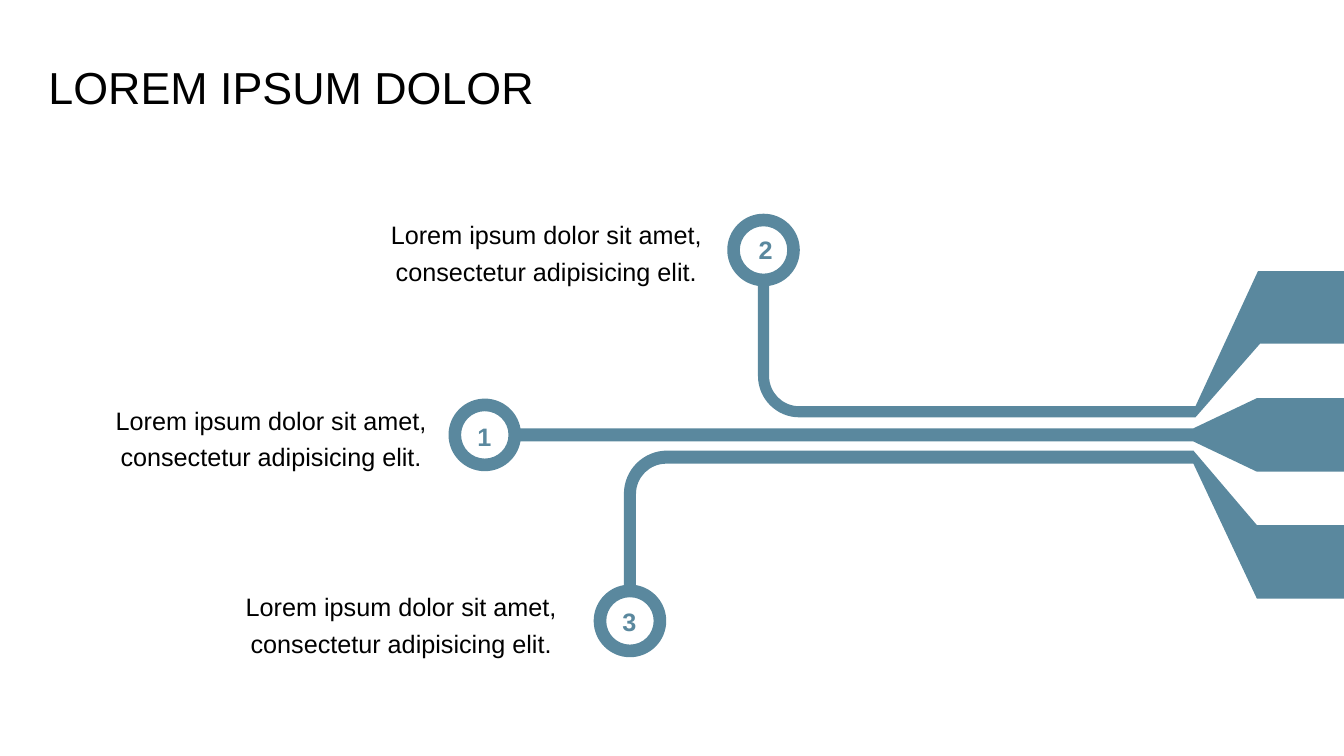
from dataclasses import dataclass
from math import asin, cos, degrees, radians, sin, tan

from lxml import etree
from pptx import Presentation
from pptx import util as u
from pptx.dml.color import RGBColor
from pptx.enum import text
from pptx.oxml.ns import qn

COLOURS = {"branch": "5A889E", "ink": "000000"}
FONT = "Arial"
EDGE = 40 / 3
RING_RADIUS, HOLE_RADIUS = 0.36, 0.47 / 2
BADGE_SIZE = (0.71, 0.71)
CAPTION_SIZE = (3.36, 1.42)
CAPTION = "Lorem ipsum dolor sit amet, consectetur adipisicing elit."

Point = tuple[float, float]
Segment = list[Point]  # one point for a line, three for a curve


@dataclass
class Arc:
    centre: Point
    radius: float
    start: float  # degrees clockwise from east
    end: float


@dataclass
class Branch:
    number: str
    centre: Point
    heading: float  # where the pipe leaves the ring
    pipe: float
    flare: list[Point]
    badge: Point
    caption: Point
    bend_out: Arc | None = None
    bend_back: Arc | None = None


BRANCHES = [
    Branch("1", (4.81, (4.25 + 4.38) / 2), 0, 0.13,
           [(11.84, 4.25), (12.47, 3.95), (EDGE, 3.95),
            (EDGE, 4.68), (12.47, 4.68), (11.84, 4.38)],
           badge=(4.45, 3.97), caption=(1.01, 3.61)),
    Branch("3", (6.25, 6.16), 270, 0.12,
           [(11.84, 4.47), (12.47, 5.21), (EDGE, 5.21),
            (EDGE, 5.94), (12.47, 5.94), (11.84, 4.6)],
           badge=(5.89, 5.81), caption=(2.3, 5.46),
           bend_out=Arc((6.62, 4.9), 0.43, 180, 270),
           bend_back=Arc((6.61, 4.9), 0.3, 270, 180)),
    Branch("2", ((7.52 + 7.63) / 2, 2.48), 90, 0.11,
           [(11.86, 4.03), (12.48, 2.69), (EDGE, 2.69),
            (EDGE, 3.41), (12.5, 3.41), (11.86, 4.14)],
           badge=(7.24, 2.12), caption=(3.74, 1.77),
           bend_out=Arc((7.93, 3.73), 0.3, 180, 90),
           bend_back=Arc((7.93, 3.73), 0.41, 90, 180)),
]


def on_arc(arc: Arc, angle: float, handle: float = 0) -> Point:
    """The point at an angle, moved along the tangent by a share of the radius."""
    a = radians(angle)
    return (arc.centre[0] + arc.radius * (cos(a) - handle * sin(a)),
            arc.centre[1] + arc.radius * (sin(a) + handle * cos(a)))


def curves(arc: Arc) -> list[Segment]:
    """Cubic curves for an arc, split at each quarter turn."""
    low, high = sorted((arc.start, arc.end))
    stops = sorted({low, high, *(q for q in range(0, 720, 90) if low < q < high)},
                   reverse=arc.end < arc.start)
    segments = []
    for a, b in zip(stops, stops[1:]):
        handle = 4 / 3 * tan(radians(b - a) / 4)
        segments.append([on_arc(arc, a, handle), on_arc(arc, b, -handle),
                         on_arc(arc, b)])
    return segments


def bend(arc: Arc | None) -> list[Segment]:
    return [[on_arc(arc, arc.start)], *curves(arc)] if arc else []


def to_emu(points: list[Point]) -> list[tuple[int, int]]:
    return [(u.Inches(x), u.Inches(y)) for x, y in points]


def draw_branch(page, branch: Branch) -> None:
    gap = degrees(asin(branch.pipe / 2 / RING_RADIUS))
    ring = Arc(branch.centre, RING_RADIUS,
               branch.heading + gap, branch.heading + 360 - gap)
    hole = Arc(branch.centre, HOLE_RADIUS, 360, 0)
    outline = (curves(ring) + bend(branch.bend_out)
               + [[point] for point in branch.flare] + bend(branch.bend_back))
    contours = [(ring, outline), (hole, curves(hole))]

    builder = page.shapes.build_freeform(*to_emu([on_arc(ring, ring.start)])[0])
    for arc, segments in contours:
        if arc is hole:
            builder.move_to(*to_emu([on_arc(hole, hole.start)])[0])
        builder.add_line_segments(to_emu(sum(segments, [])), close=True)
    shape = builder.convert_to_shape()

    # Join each curve's three points into one cubic curve
    lines = iter(list(shape._element.iter(qn("a:lnTo"))))
    for segment in (s for _, segments in contours for s in segments):
        parts = [next(lines) for _ in segment]
        if len(parts) == 3:
            curve = etree.Element(qn("a:cubicBezTo"))
            parts[0].addprevious(curve)
            for part in parts:
                curve.append(part[0])
                part.getparent().remove(part)

    shape.shadow.inherit = False
    shape.fill.solid()
    shape.fill.fore_color.rgb = RGBColor.from_string(COLOURS["branch"])
    shape.line.fill.background()


def write(box, words: str, size: float, colour: str, align,
          spacing: float | None = None, bold: bool = False) -> None:
    frame = box.text_frame
    frame.word_wrap = True
    frame.auto_size = text.MSO_AUTO_SIZE.NONE
    frame.vertical_anchor = text.MSO_ANCHOR.MIDDLE
    para = frame.paragraphs[0]
    para.alignment = align
    para.line_spacing = spacing
    span = para.add_run()
    span.text = words
    span.font.name = FONT
    span.font.size = u.Pt(size)
    span.font.bold = bold
    span.font.color.rgb = RGBColor.from_string(COLOURS[colour])


def add_box(page, corner: Point, size: Point):
    return page.shapes.add_textbox(*(u.Inches(v) for v in corner + size))


def main() -> None:
    deck = Presentation()
    deck.slide_width, deck.slide_height = u.Inches(EDGE), u.Inches(7.5)
    page = deck.slides.add_slide(deck.slide_layouts[5])

    # Title
    title = page.shapes.title
    title.left, title.top = u.Inches(0.38), u.Inches(0.6)
    title.width, title.height = u.Inches(9.24), u.Inches(0.59)
    write(title, "LOREM IPSUM DOLOR", 32, "ink", text.PP_ALIGN.LEFT, spacing=0.9)

    # Branches, then their captions and numbers
    centred = text.PP_ALIGN.CENTER
    for branch in BRANCHES:
        draw_branch(page, branch)
    for branch in BRANCHES:
        write(add_box(page, branch.caption, CAPTION_SIZE), CAPTION, 18, "ink",
              centred, spacing=1.2)
    for branch in reversed(BRANCHES):
        write(add_box(page, branch.badge, BADGE_SIZE), branch.number, 18, "branch",
              centred, bold=True)

    deck.save("out.pptx")


if __name__ == "__main__":
    main()
